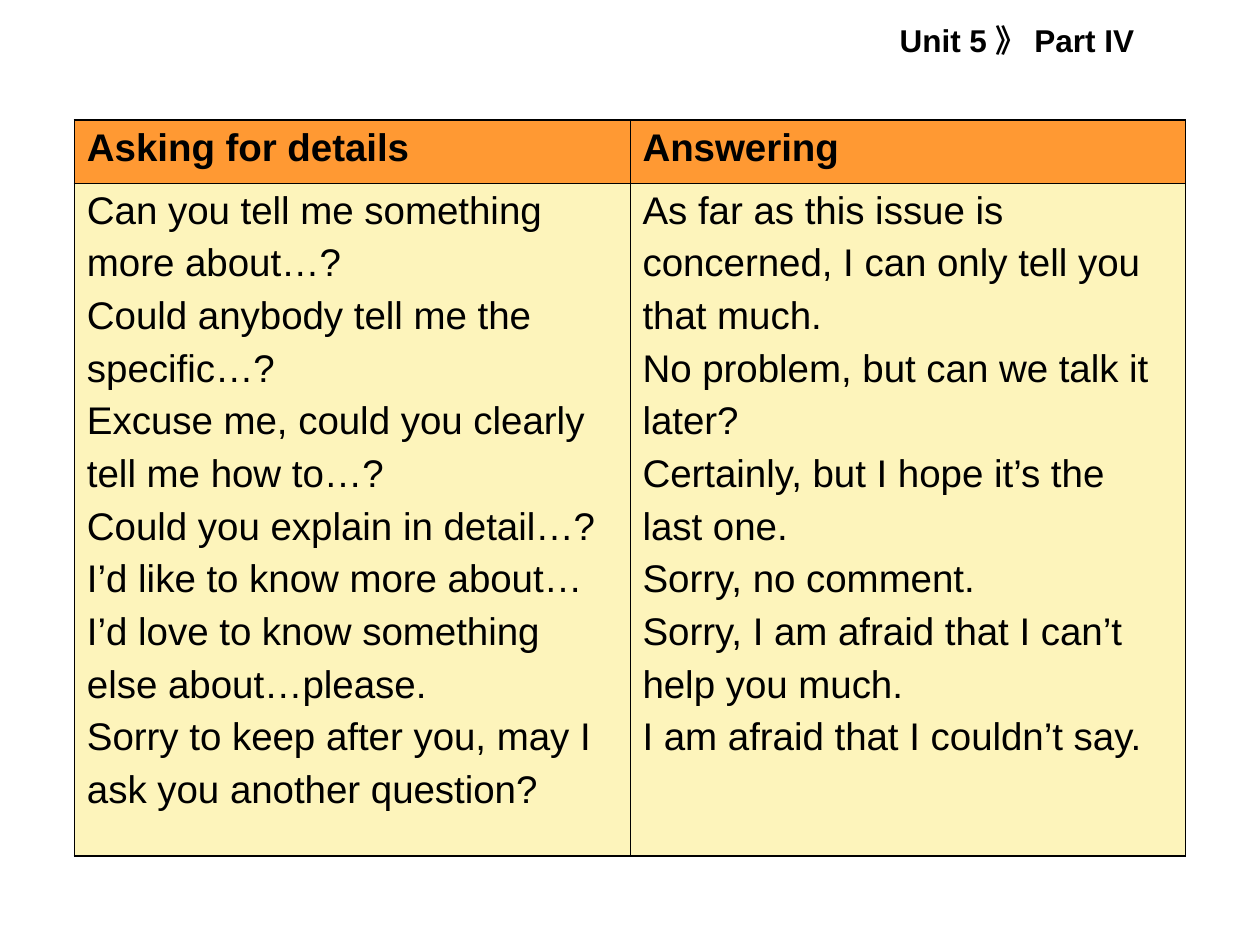
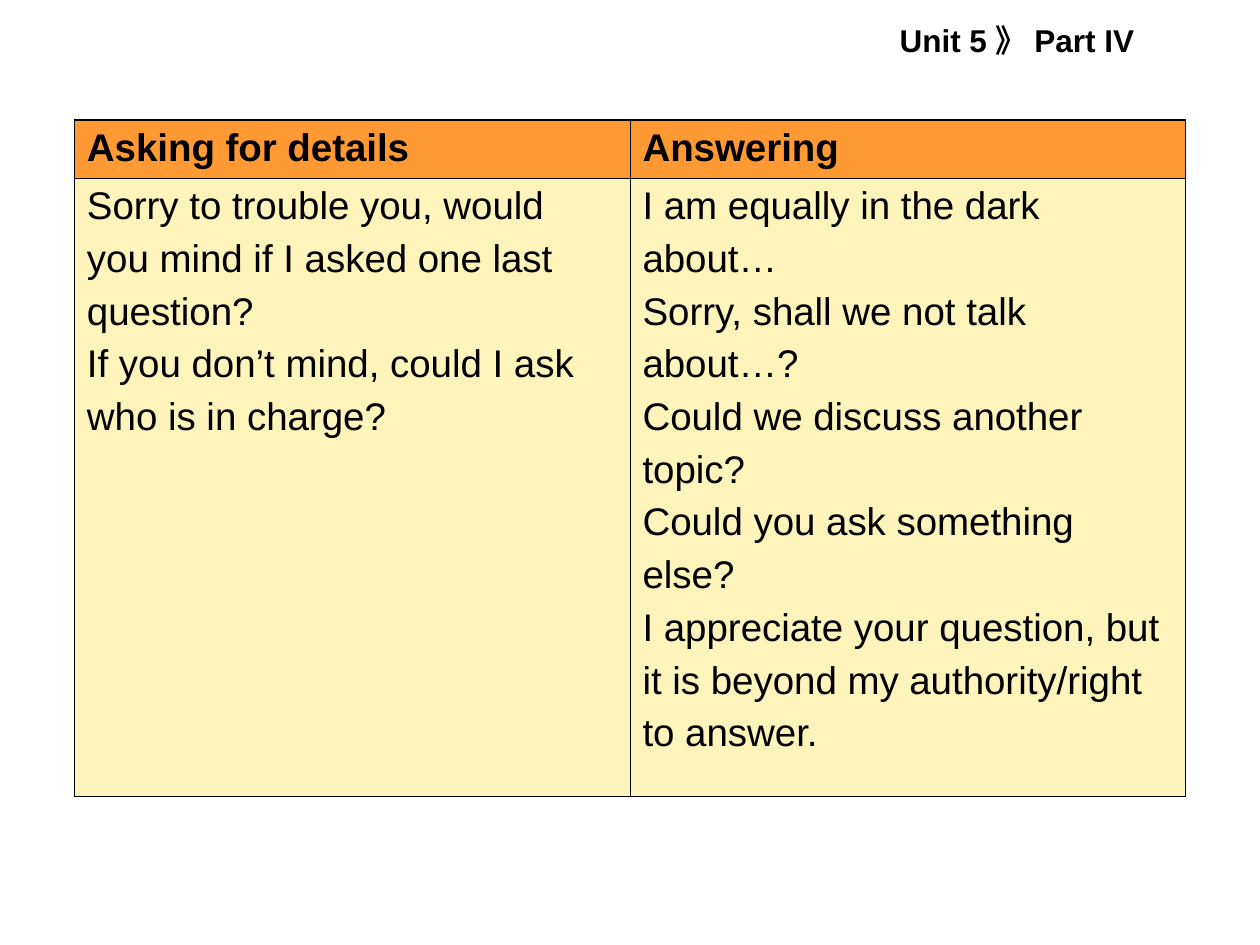
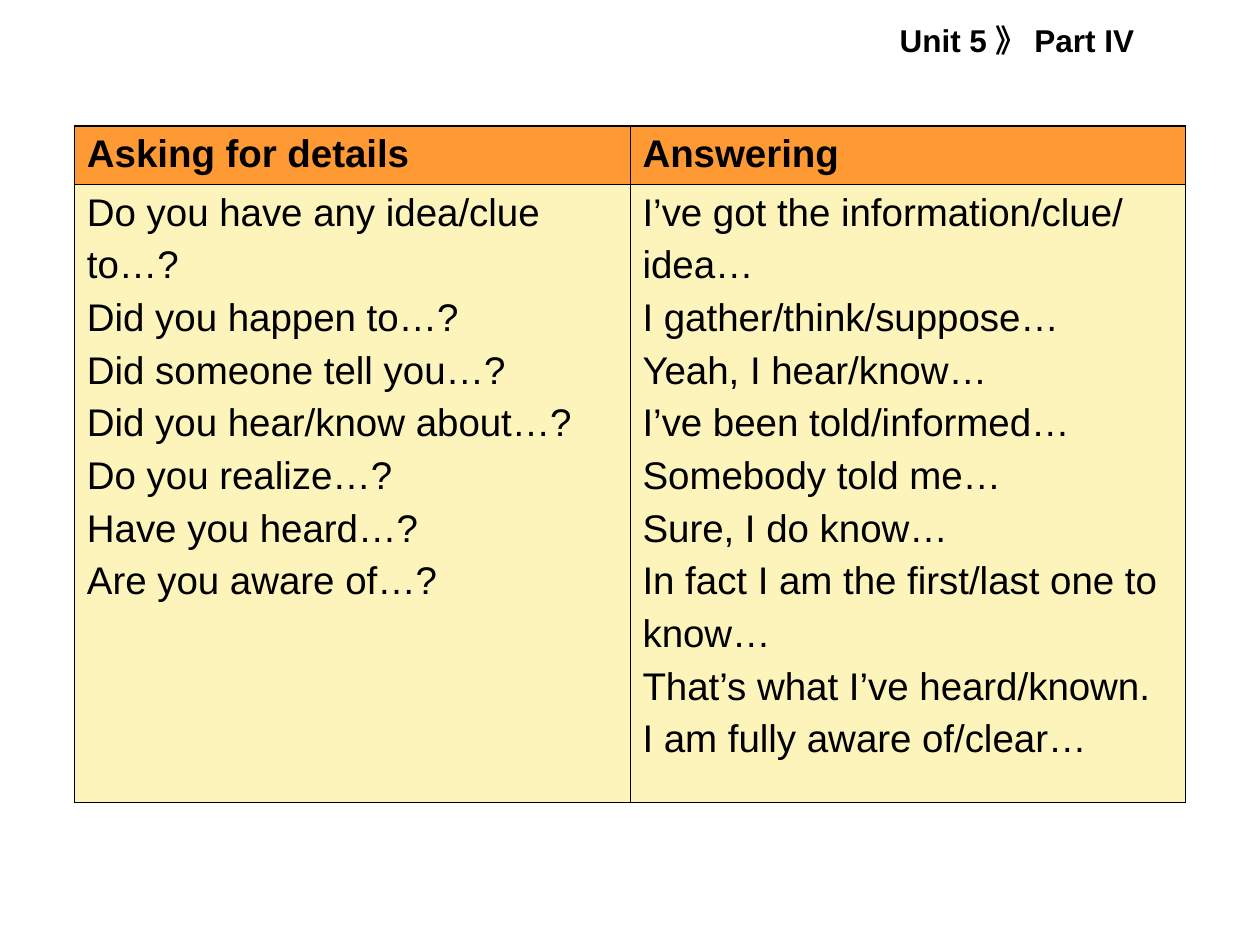
"""Build three slides of phrases for asking for details and answering."""
from lxml import etree
from pptx import Presentation
from pptx.dml.color import RGBColor
from pptx.oxml.ns import qn
from pptx.util import Pt

BLACK = RGBColor(0x00, 0x00, 0x00)
ORANGE = RGBColor(0xFF, 0x99, 0x33)
CREAM = RGBColor(0xFD, 0xF4, 0xBB)
FONT = "Arial"
THICK, THIN = Pt(1.08), Pt(0.45)
LEFT, COL_W = Pt(42.5), Pt(317.5)
HEADERS = ["Asking for details", "Answering"]

SLIDES = [
    {
        "top": 68.5, "rows": [36, 384.5],
        "asking": [
            "Can you tell me something", "more about…?",
            "Could anybody tell me the", "specific…?",
            "Excuse me, could you clearly", "tell me how to…?",
            "Could you explain in detail…?",
            "I’d like to know more about…",
            "I’d love to know something", "else about…please.",
            "Sorry to keep after you, may I", "ask you another question?",
        ],
        "answering": [
            "As far as this issue is", "concerned, I can only tell you", "that much.",
            "No problem, but can we talk it", "later?",
            "Certainly, but I hope it’s the", "last one.",
            "Sorry, no comment.",
            "Sorry, I am afraid that I can’t", "help you much.",
            "I am afraid that I couldn’t say.",
        ],
    },
    {
        "top": 68.5, "rows": [33.5, 353],
        "asking": [
            "Sorry to trouble you, would", "you mind if I asked one last", "question?",
            "If you don’t mind, could I ask", "who is in charge?",
        ],
        "answering": [
            "I am equally in the dark", "about…",
            "Sorry, shall we not talk", "about…?",
            "Could we discuss another", "topic?",
            "Could you ask something", "else?",
            "I appreciate your question, but", "it is beyond my authority/right", "to answer.",
        ],
    },
    {
        "top": 72, "rows": [33.5, 353],
        "asking": [
            "Do you have any idea/clue", "to…?",
            "Did you happen to…?",
            "Did someone tell you…?",
            "Did you hear/know about…?",
            "Do you realize…?",
            "Have you heard…?",
            "Are you aware of…?",
        ],
        "answering": [
            "I’ve got the information/clue/", "idea…",
            "I gather/think/suppose…",
            "Yeah, I hear/know…",
            "I’ve been told/informed…",
            "Somebody told me…",
            "Sure, I do know…",
            "In fact I am the first/last one to", "know…",
            "That’s what I’ve heard/known.",
            "I am fully aware of/clear…",
        ],
    },
]


def write(tf, lines, size=22, bold=False, before=5.5):
    """Write each line as a paragraph of the text frame."""
    for i, line in enumerate(lines):
        p = tf.add_paragraph() if i else tf.paragraphs[0]
        p.space_before = Pt(before)
        r = p.add_run()
        r.text = line
        r.font.name = FONT
        r.font.size = Pt(size)
        r.font.bold = bold
        r.font.color.rgb = BLACK


def format_cell(cell, fill, widths):
    """Fill a cell and draw its left, right, top and bottom borders."""
    tc_pr = cell._tc.get_or_add_tcPr()
    for side, width in zip("LRTB", widths):
        ln = etree.SubElement(tc_pr, qn(f"a:ln{side}"), w=str(width))
        solid = etree.SubElement(ln, qn("a:solidFill"))
        etree.SubElement(solid, qn("a:srgbClr"), val=str(BLACK))
    cell.fill.solid()
    cell.fill.fore_color.rgb = fill


prs = Presentation()
prs.slide_width, prs.slide_height = Pt(720), Pt(540)

for content in SLIDES:
    slide = prs.slides.add_slide(prs.slide_layouts[6])

    sp = slide.shapes.add_textbox(Pt(507), Pt(8.5), Pt(157.5), Pt(29))
    sp.text_frame.word_wrap = False
    write(sp.text_frame, ["Unit 5 》 Part IV"], size=18, bold=True, before=0)

    heights = content["rows"]
    table = slide.shapes.add_table(
        2, 2, LEFT, Pt(content["top"]), 2 * COL_W, Pt(sum(heights))).table
    for row, height in zip(table.rows, heights):
        row.height = Pt(height)
    for c, key in enumerate(["asking", "answering"]):
        table.columns[c].width = COL_W
        sides = (THIN, THICK) if c else (THICK, THIN)
        head, body = table.cell(0, c), table.cell(1, c)
        write(head.text_frame, [HEADERS[c]], bold=True)
        format_cell(head, ORANGE, (*sides, THICK, THIN))
        write(body.text_frame, content[key])
        format_cell(body, CREAM, (*sides, THIN, THICK))

prs.save("out.pptx")
